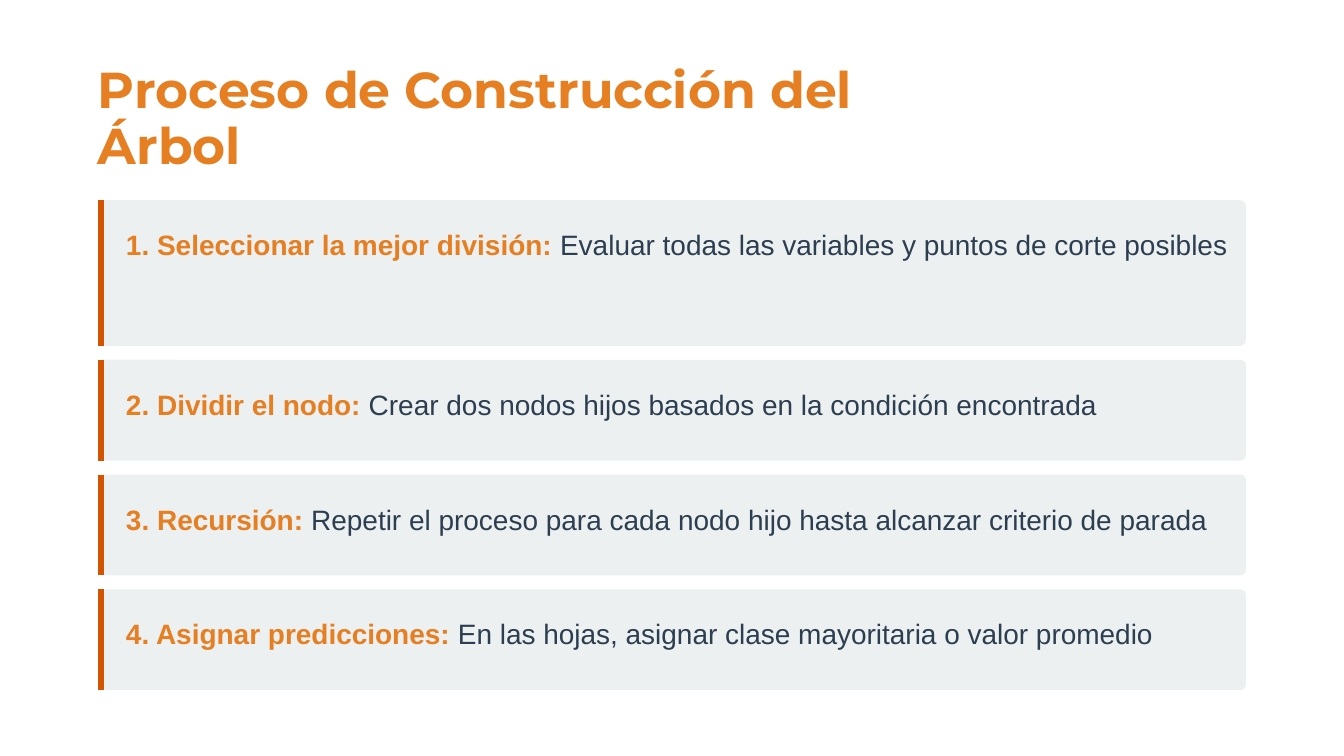
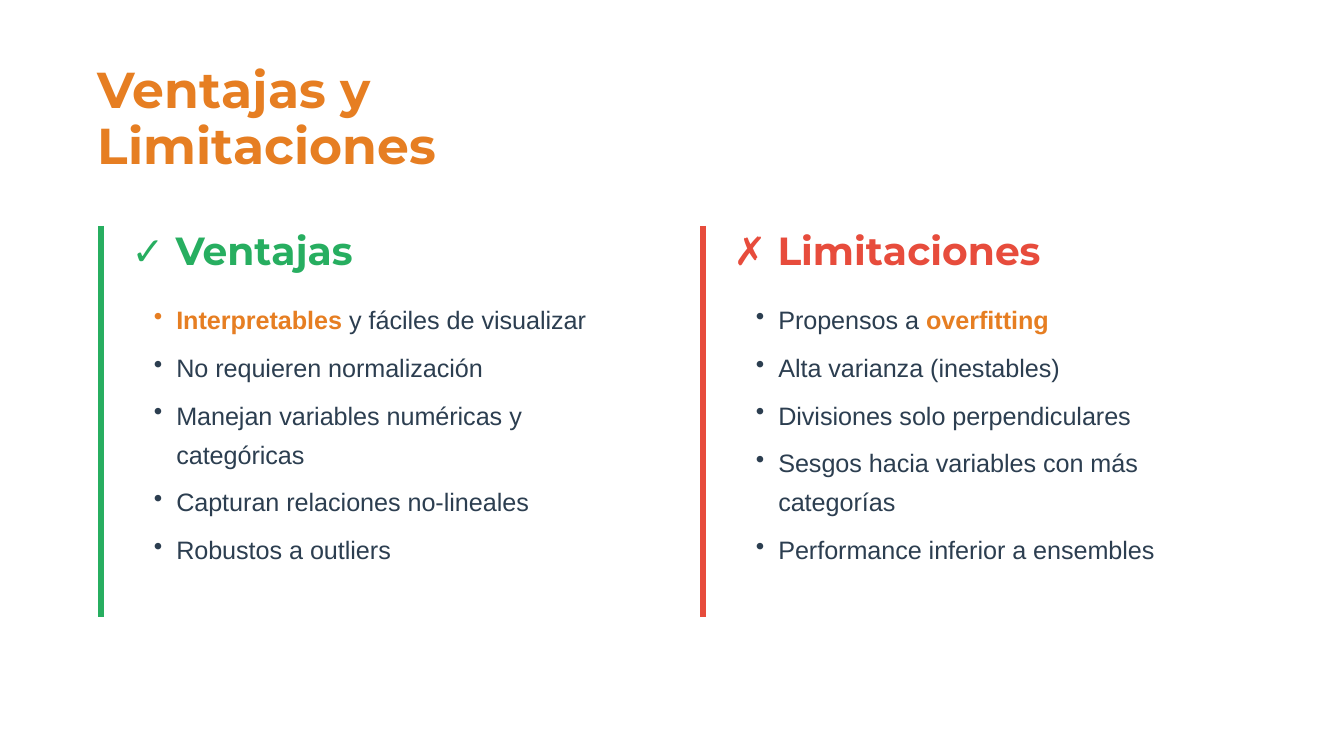
"""Build two slides on decision trees: how they grow, and their pros and cons."""
from lxml.etree import SubElement
from pptx import Presentation
from pptx.dml.color import RGBColor
from pptx.enum.shapes import MSO_CONNECTOR, MSO_SHAPE
from pptx.oxml.ns import qn
from pptx.util import Pt

ORANGE, RUST, INK, PALE = "E67E22", "D35400", "2C3E50", "ECF0F1"
GREEN, RED = "27AE60", "E74C3C"
HEAD, BODY = "Montserrat", "Arial"
LEFT, INDENT = 52.5, 12

color = RGBColor.from_string


def write(slide, box, lines, face, size, lead, after, ink=INK, bold=False, bullet=False):
    """Add a text box; words between asterisks are bold orange."""
    frame = slide.shapes.add_textbox(*map(Pt, box)).text_frame
    frame.word_wrap = True
    frame.margin_left = Pt(INDENT if bullet else 0)
    frame.margin_right = frame.margin_top = frame.margin_bottom = 0
    for num, line in enumerate(lines):
        para = frame.add_paragraph() if num else frame.paragraphs[0]
        para.line_spacing, para.space_after = Pt(lead), Pt(after)
        if bullet:
            props = para._p.get_or_add_pPr()
            props.set("marL", str(Pt(INDENT)))
            props.set("indent", str(-Pt(INDENT)))
            SubElement(props, qn("a:buChar")).set("char", "•")
        font = para.font
        font.name, font.size, font.bold = face, Pt(size), bold
        font.color.rgb = color(ink)
        for part, words in enumerate(line.split("*")):
            if words:
                run = para.add_run()
                run.text = words
                if part % 2:
                    run.font.bold = True
                    run.font.color.rgb = color(ORANGE)


def draw_bar(slide, left, top, height, ink):
    """Add a thick upright line."""
    ends = map(Pt, (left, top, left, top + height))
    bar = slide.shapes.add_connector(MSO_CONNECTOR.STRAIGHT, *ends)
    bar.line.color.rgb, bar.line.width = color(ink), Pt(3)
    SubElement(bar._element.spPr, qn("a:effectLst"))


deck = Presentation()
deck.slide_width, deck.slide_height = Pt(720), Pt(405)

titles = [("Proceso de Construcción del Árbol", 461.5), ("Ventajas y Limitaciones", 314.5)]
slides = []
for title, width in titles:
    slide = deck.slides.add_slide(deck.slide_layouts[6])
    write(slide, (LEFT, 33.75, width, 30), [title], HEAD, 27, 30, 18, ORANGE, True)
    slides.append(slide)
steps, sides = slides

cards = [
    ("*1. Seleccionar la mejor división:* Evaluar todas las variables y puntos de corte posibles", 78),
    ("*2. Dividir el nodo:* Crear dos nodos hijos basados en la condición encontrada", 54),
    ("*3. Recursión:* Repetir el proceso para cada nodo hijo hasta alcanzar criterio de parada", 54),
    ("*4. Asignar predicciones:* En las hojas, asignar clase mayoritaria o valor promedio", 54),
]
top = 107.25
for text, height in cards:
    card = steps.shapes.add_shape(
        MSO_SHAPE.ROUNDED_RECTANGLE, Pt(LEFT), Pt(top), Pt(615), Pt(height))
    card.adjustments[0] = 3 / height
    card.shadow.inherit = False
    card.fill.solid()
    card.fill.fore_color.rgb = color(PALE)
    card.line.fill.background()
    draw_bar(steps, LEFT + 1.5, top, height, RUST)
    write(steps, (67.5, top + 8.75, 600, height - 30), [text], BODY, 15, 24, 12)
    top += height + 7.5

columns = [
    ("✓ Ventajas", GREEN, [
        "*Interpretables* y fáciles de visualizar",
        "No requieren normalización",
        "Manejan variables numéricas y categóricas",
        "Capturan relaciones no-lineales",
        "Robustos a outliers",
    ]),
    ("✗ Limitaciones", RED, [
        "Propensos a *overfitting*",
        "Alta varianza (inestables)",
        "Divisiones solo perpendiculares",
        "Sesgos hacia variables con más categorías",
        "Performance inferior a ensembles",
    ]),
]
for num, (label, ink, points) in enumerate(columns):
    left = LEFT + 322.5 * num
    draw_bar(sides, left + 1.5, 121, 209.5, ink)
    write(sides, (left + 18, 121, 280, 25.2), [label], HEAD, 21, 25.2, 12, ink, True)
    write(sides, (left + 18, 158.4, 274.5, 160.5), points, BODY, 13.5, 21, 4.5, bullet=True)

deck.save("out.pptx")
